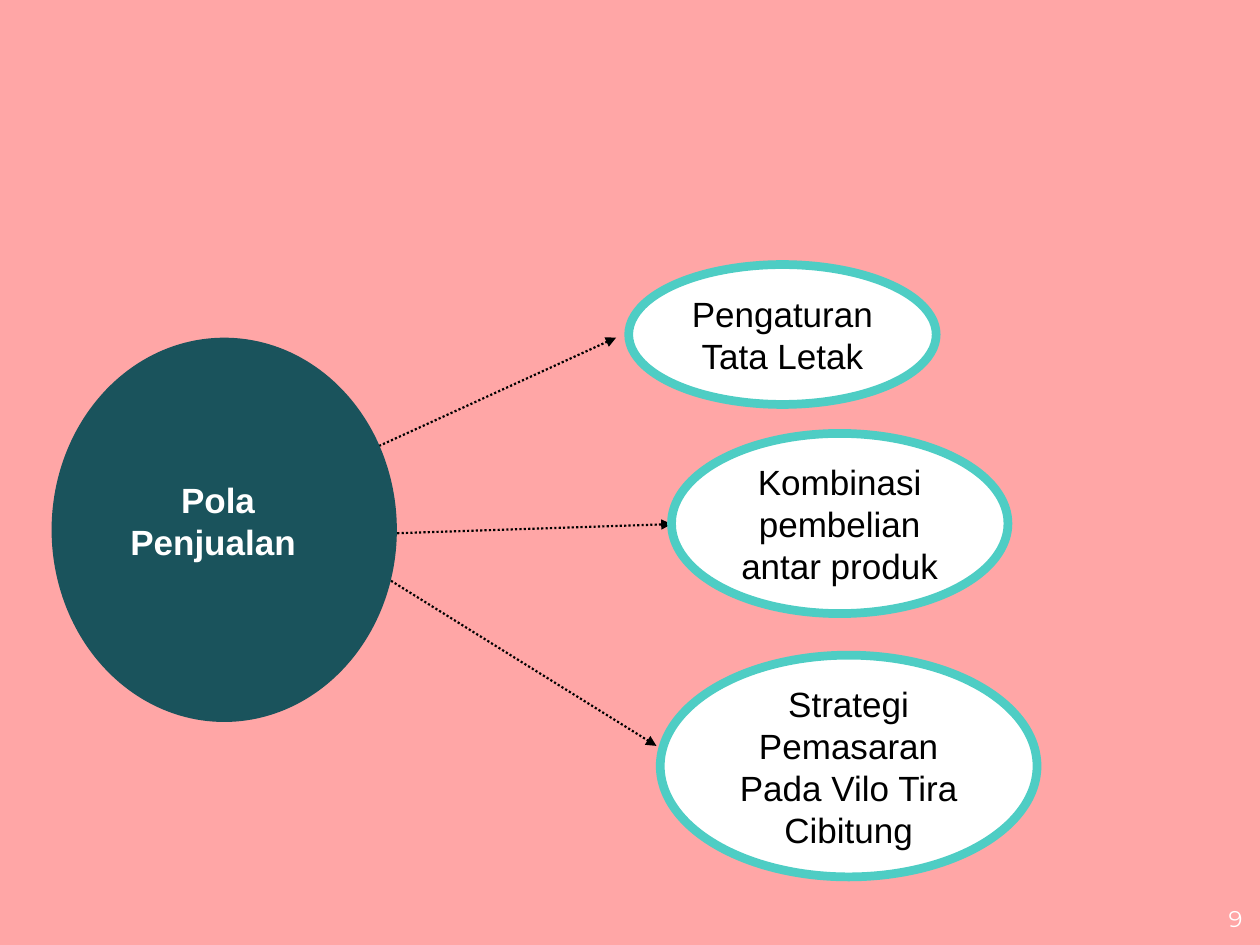
from lxml.etree import SubElement
from pptx import Presentation
from pptx.dml.color import RGBColor
from pptx.enum.dml import MSO_LINE
from pptx.enum.shapes import MSO_CONNECTOR, MSO_SHAPE
from pptx.enum.text import MSO_ANCHOR, PP_ALIGN
from pptx.oxml.ns import qn
from pptx.util import Inches, Pt

THEME = {
    "background": RGBColor.from_string("FFA6A6"),
    "hub": RGBColor.from_string("1A535C"),
    "rim": RGBColor.from_string("4ECDC4"),
    "light": RGBColor.from_string("FFFFFF"),
    "dark": RGBColor.from_string("000000"),
    "body": Pt(20),
    "number": Pt(13),
    "rim_width": Pt(5),
    "arrow_width": Pt(1.25),
}

deck = Presentation()
deck.slide_width, deck.slide_height = Inches(10), Inches(7.5)
# The slide is a grid of 100 columns by 75 rows.
COLUMN, ROW = deck.slide_width / 100, deck.slide_height / 75

slide = deck.slides.add_slide(deck.slide_layouts[6])
slide.background.fill.solid()
slide.background.fill.fore_color.rgb = THEME["background"]


def on_grid(*cells):
    """Turn alternating column and row counts into lengths."""
    return [round(cell * (ROW if i % 2 else COLUMN)) for i, cell in enumerate(cells)]


def write(holder, text, color, align=PP_ALIGN.CENTER, **font_format):
    frame = holder.text_frame
    frame.word_wrap = True
    frame.vertical_anchor = MSO_ANCHOR.MIDDLE
    paragraph = frame.paragraphs[0]
    paragraph.alignment = align
    run = paragraph.add_run()
    run.text = text
    run.font.color.rgb = color
    for name, value in ({"name": "Arial", "size": THEME["body"]} | font_format).items():
        setattr(run.font, name, value)


# Arrows from the sales pattern to its uses, behind the ovals
for ends in [(27.5, 43.9, 52.1, 59.2), (20, 40, 48.9, 26.8), (20.1, 42.7, 53.3, 41.6)]:
    arrow = slide.shapes.add_connector(MSO_CONNECTOR.STRAIGHT, *on_grid(*ends))
    arrow.line.color.rgb = THEME["dark"]
    arrow.line.width = THEME["arrow_width"]
    arrow.line.dash_style = MSO_LINE.ROUND_DOT
    SubElement(arrow.line._get_or_add_ln(), qn("a:tailEnd"), type="triangle")
    SubElement(arrow._element.spPr, qn("a:effectLst"))

# Sales pattern, with its label in a narrower box
hub = slide.shapes.add_shape(MSO_SHAPE.OVAL, *on_grid(4.1, 26.8, 27.4, 30.5))
hub.shadow.inherit = False
hub.fill.solid()
hub.fill.fore_color.rgb = THEME["hub"]
hub.line.fill.background()
hub_label = slide.shapes.add_textbox(*on_grid(8.7, 37.5, 17.2, 7.7))
write(hub_label, "Pola Penjualan ", THEME["light"], bold=True)

# Uses of the pattern
uses = [
    ("Pengaturan Tata Letak", (49.9, 21, 24.4, 11.1)),
    ("Kombinasi pembelian antar produk", (53.3, 34.4, 26.7, 14.3)),
    ("Strategi Pemasaran Pada Vilo Tira Cibitung", (52.4, 52, 29.9, 17.6)),
]
for use, cells in uses:
    oval = slide.shapes.add_shape(MSO_SHAPE.OVAL, *on_grid(*cells))
    oval.shadow.inherit = False
    oval.fill.solid()
    oval.fill.fore_color.rgb = THEME["light"]
    oval.line.color.rgb = THEME["rim"]
    oval.line.width = THEME["rim_width"]
    write(oval, use, THEME["dark"])

page_number = slide.shapes.add_textbox(*on_grid(93.6, 70.8, 6, 4.2))
write(page_number, "9", THEME["light"], PP_ALIGN.RIGHT,
      name="Montserrat", size=THEME["number"])
page_number.text_frame.vertical_anchor = MSO_ANCHOR.TOP
for side in ("left", "top", "right", "bottom"):
    setattr(page_number.text_frame, f"margin_{side}", Inches(0.1))

deck.save("out.pptx")
